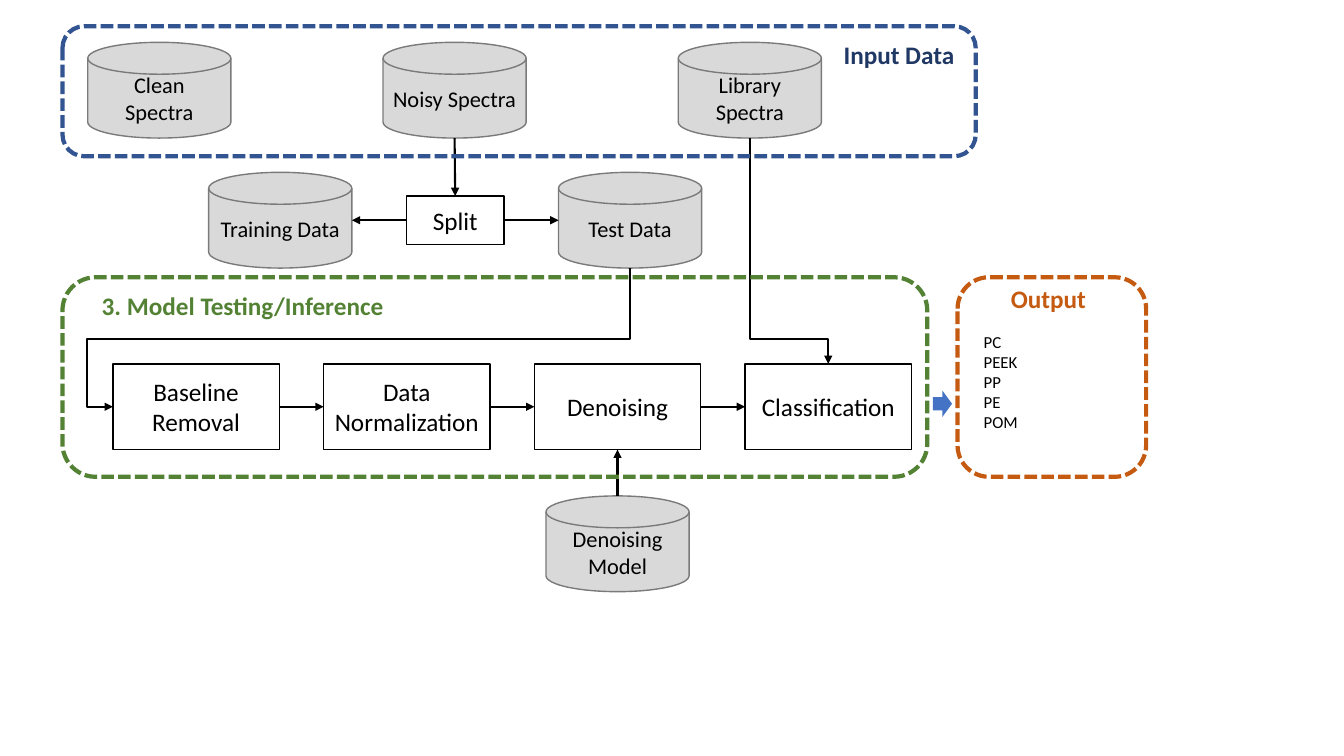
from lxml.etree import SubElement
from pptx import Presentation
from pptx.dml.color import RGBColor
from pptx.enum.dml import MSO_LINE
from pptx.enum.shapes import MSO_CONNECTOR, MSO_SHAPE
from pptx.enum.text import MSO_ANCHOR, MSO_AUTO_SIZE, PP_ALIGN
from pptx.oxml.ns import qn
from pptx.util import Inches, Pt

WIDE, HIGH = Inches(13.33), Inches(7.5)
COL, ROW = WIDE / 100, HIGH / 100

BLACK = RGBColor(0x00, 0x00, 0x00)
WHITE = RGBColor(0xFF, 0xFF, 0xFF)
GREY = RGBColor(0xD9, 0xD9, 0xD9)
EDGE = RGBColor(0x7A, 0x7A, 0x7A)
BLUE = RGBColor(0x32, 0x54, 0x91)
NAVY = RGBColor(0x20, 0x38, 0x64)
GREEN = RGBColor(0x54, 0x82, 0x35)
RUST = RGBColor(0xC5, 0x5A, 0x11)
SKY = RGBColor(0x44, 0x72, 0xC4)

DISK = (10.65, 12.67)
STEP = (12.38, 11.33)
INPUT = (4.65, 3.47, 67.95, 17.2)
SPLIT = (15.53, 22.8, 36.68, 12.67)
MODEL = (4.65, 36.67, 64.35, 26.4)
OUTPUT = (71.25, 36.67, 14.03, 26.4)


def place(x, y, w, h):
    return round(x * COL), round(y * ROW), round(w * COL), round(h * ROW)


def write(frame, text, size=18, color=BLACK, bold=None, align=None):
    frame.text = text
    for para in frame.paragraphs:
        para.alignment = align
        font = para.font
        font.name, font.size, font.bold = "Calibri", Pt(size), bold
        font.color.rgb = color


def draw(slide, kind, box, fill=None, edge=None, width=1):
    shape = slide.shapes.add_shape(kind, *place(*box))
    shape.shadow.inherit = False
    if fill is None:
        shape.fill.background()
    else:
        shape.fill.solid()
        shape.fill.fore_color.rgb = fill
    if edge is None:
        shape.line.fill.background()
    else:
        shape.line.color.rgb = edge
        shape.line.width = Pt(width)
    return shape


def node(slide, kind, box, text, **style):
    size = style.pop("size", 18)
    shape = draw(slide, kind, box, **style)
    shape.text_frame.vertical_anchor = MSO_ANCHOR.MIDDLE
    write(shape.text_frame, text, size=size, align=PP_ALIGN.CENTER)
    return shape


def disk(slide, x, y, text):
    return node(slide, MSO_SHAPE.FLOWCHART_MAGNETIC_DISK, (x, y, *DISK), text,
                fill=GREY, edge=EDGE, size=16)


def block(slide, box, text):
    return node(slide, MSO_SHAPE.FLOWCHART_PROCESS, box, text,
                fill=WHITE, edge=BLACK)


def label(slide, box, text, **style):
    area = slide.shapes.add_textbox(*place(*box))
    area.text_frame.word_wrap = False
    area.text_frame.auto_size = MSO_AUTO_SIZE.SHAPE_TO_FIT_TEXT
    write(area.text_frame, text, **style)


def side(shape, site):
    mid = shape.left + shape.width // 2
    level = shape.top + shape.height // 2
    return ((mid, shape.top), (shape.left, level),
            (mid, shape.top + shape.height),
            (shape.left + shape.width, level))[site]


def arrow(slide, kind, start, end):
    line = slide.shapes.add_connector(kind, *start, *end)
    line.line.color.rgb = BLACK
    line.line.width = Pt(1.5)
    SubElement(line.line._get_or_add_ln(), qn("a:tailEnd"), type="triangle")
    SubElement(line._element.spPr, qn("a:effectLst"))
    return line


def link(slide, first, out, last, into):
    line = arrow(slide, MSO_CONNECTOR.STRAIGHT,
                 side(first, out), side(last, into))
    if first.auto_shape_type == MSO_SHAPE.FLOWCHART_PROCESS:
        line.begin_connect(first, out)
    if last.auto_shape_type == MSO_SHAPE.FLOWCHART_PROCESS:
        line.end_connect(last, into)


def bend(slide, start, end, turn, bends, flip=False):
    mid, level = (start[0] + end[0]) // 2, (start[1] + end[1]) // 2
    half, reach = abs(end[1] - start[1]) // 2, abs(end[0] - start[0]) // 2
    line = arrow(slide, MSO_CONNECTOR.ELBOW,
                 (mid - half, level - reach), (mid + half, level + reach))
    frame = line._element.spPr.find(qn("a:xfrm"))
    frame.set("rot", str(turn * 60000))
    if flip:
        frame.set("flipH", "1")
    geom = line._element.spPr.find(qn("a:prstGeom"))
    geom.set("prst", f"bentConnector{len(bends) + 2}")
    guides = geom.find(qn("a:avLst"))
    for num, share in enumerate(bends, 1):
        SubElement(guides, qn("a:gd"), name=f"adj{num}",
                   fmla=f"val {round(share * 100000)}")


def inputs(slide, box):
    x, y = box[:2]
    names = ("Clean Spectra", "Noisy Spectra", "Library Spectra")
    return [disk(slide, x + 1.88 + 21.97 * num, y + 2.13, name)
            for num, name in enumerate(names)]


def divide(slide, box, noisy):
    x, y, w, h = box
    train = disk(slide, x, y, "Training Data")
    test = disk(slide, x + w - DISK[0], y, "Test Data")
    wide, high = 7.28, 6.4
    split = block(slide, (x + (w - wide) / 2, y + (h - high) / 2, wide, high),
                  "Split")
    link(slide, noisy, 2, split, 0)
    link(slide, split, 1, train, 3)
    link(slide, split, 3, test, 1)
    return test


def model(slide, box, test, library):
    x, y, w, h = box
    names = ("Baseline Removal", "Data Normalization",
             "Denoising", "Classification")
    left, gap = x + 3.75, 15.68
    steps = [block(slide, (left + gap * num, y + 11.47, *STEP), name)
             for num, name in enumerate(names)]
    for first, last in zip(steps, steps[1:]):
        link(slide, first, 3, last, 1)
    store = disk(slide, left + gap * 2 + (STEP[0] - DISK[0]) / 2,
                 y + h + 2.53, "Denoising Model")
    link(slide, store, 0, steps[2], 2)
    bend(slide, side(test, 2), side(steps[0], 1), 90, (0.51, 1.05))
    bend(slide, side(library, 2), side(steps[3], 0), 270, (0.89,), flip=True)


def result(slide, box):
    x, y = box[:2]
    label(slide, (x + 1.2, y + 6.53, 4.13, 14.8),
          "PC\nPEEK\nPP\nPE\nPOM", size=12)
    wide, high = 1.95, 2.53
    mid = (MODEL[0] + MODEL[2] + x) / 2
    point = draw(slide, MSO_SHAPE.DOWN_ARROW,
                 (mid - wide / 2, y + 15.47, wide, high), fill=SKY)
    point.rotation = 270


def region(slide, box, edge, text, spot, color):
    x, y, w, h = box
    frame = draw(slide, MSO_SHAPE.FLOWCHART_ALTERNATE_PROCESS, box,
                 edge=edge, width=3)
    frame.line.dash_style = MSO_LINE.SQUARE_DOT
    across, down, wide = spot
    label(slide, (x + across, y + down, wide, 5.33), text,
          color=color, bold=True)


def main():
    deck = Presentation()
    deck.slide_width, deck.slide_height = WIDE, HIGH
    slide = deck.slides.add_slide(deck.slide_layouts[6])
    clean, noisy, library = inputs(slide, INPUT)
    test = divide(slide, SPLIT, noisy)
    model(slide, MODEL, test, library)
    result(slide, OUTPUT)
    region(slide, INPUT, BLUE, "Input Data", (57.38, 1.06, 9.83), NAVY)
    region(slide, MODEL, GREEN, "3. Model Testing/Inference",
           (2.18, 1.07, 22.65), GREEN)
    region(slide, OUTPUT, RUST, "Output", (3.23, 0.13, 7.13), RUST)
    deck.save("out.pptx")


if __name__ == "__main__":
    main()
